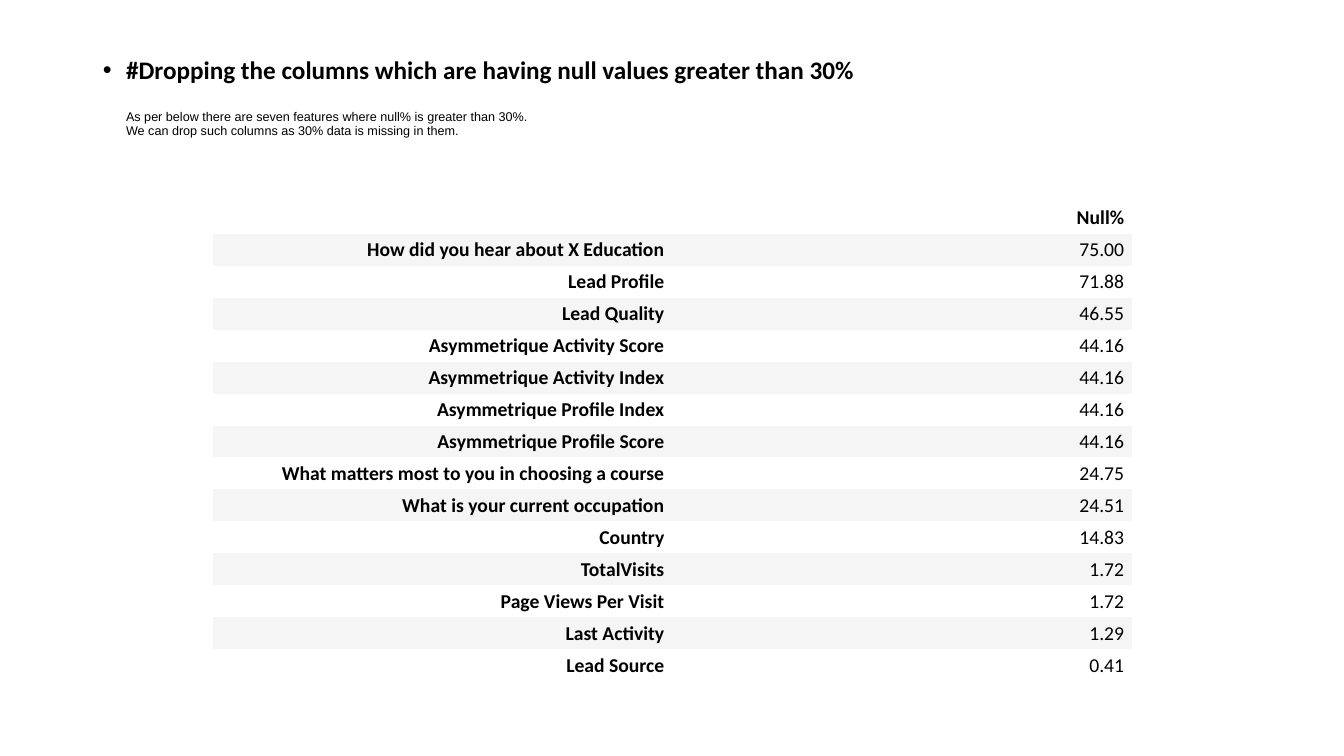
from lxml import etree
from pptx import Presentation
from pptx.dml.color import RGBColor
from pptx.enum.text import MSO_ANCHOR, PP_ALIGN
from pptx.oxml.ns import qn
from pptx.util import Inches, Pt

COLORS = {"text": "000000", "plain": "FFFFFF", "band": "F5F5F5"}
HEADING = "#Dropping the columns which are having null values greater than 30%"
EXPLANATION = (
    "As per below there are seven features where null% is greater than 30%.\v"
    "We can drop such columns as 30% data is missing in them."
)
NULL_ROWS = [
    ("", "Null%"),
    ("How did you hear about X Education", "75.00"),
    ("Lead Profile", "71.88"),
    ("Lead Quality", "46.55"),
    ("Asymmetrique Activity Score", "44.16"),
    ("Asymmetrique Activity Index", "44.16"),
    ("Asymmetrique Profile Index", "44.16"),
    ("Asymmetrique Profile Score", "44.16"),
    ("What matters most to you in choosing a course", "24.75"),
    ("What is your current occupation", "24.51"),
    ("Country", "14.83"),
    ("TotalVisits", "1.72"),
    ("Page Views Per Visit", "1.72"),
    ("Last Activity", "1.29"),
    ("Lead Source", "0.41"),
]


def set_font(paragraph, name, size, bold):
    paragraph.font.name = name
    paragraph.font.size = Pt(size)
    paragraph.font.bold = bold
    paragraph.font.color.rgb = RGBColor.from_string(COLORS["text"])


presentation = Presentation()
presentation.slide_width = Inches(13.33)
presentation.slide_height = Inches(7.5)
slide = presentation.slides.add_slide(presentation.slide_layouts[5])

# Title: bulleted heading with a short explanation under it
title = slide.shapes.title
title.left, title.top = Inches(0.92), Inches(0.4)
title.width, title.height = Inches(11.5), Inches(1.45)
title_frame = title.text_frame
title_frame.vertical_anchor = MSO_ANCHOR.MIDDLE
title_frame.margin_bottom = Inches(0.36)
heading = title_frame.paragraphs[0]
explanation = title_frame.add_paragraph()
for paragraph, text, font_name, size, bold in (
    (heading, HEADING, "Calibri", 18, True),
    (explanation, EXPLANATION, "Arial", 9, False),
):
    paragraph.text = text
    paragraph.alignment = PP_ALIGN.LEFT
    paragraph.line_spacing = 0.9
    set_font(paragraph, font_name, size, bold)
    paragraph._p.pPr.set("marL", str(Inches(0.23)))
explanation.space_before = Pt(19)
heading_properties = heading._p.pPr
heading_properties.set("indent", str(-Inches(0.23)))
bullet_font = etree.Element(qn("a:buFont"), typeface="Arial")
bullet = etree.Element(qn("a:buChar"), char="•")
default_font = heading_properties.find(qn("a:defRPr"))
default_font.addprevious(bullet_font)
default_font.addprevious(bullet)

# Table of null percentages, banded by row
table = slide.shapes.add_table(
    len(NULL_ROWS), 2, Inches(2.11), Inches(2), Inches(9.12), Inches(4.76)
).table
for row_index, values in enumerate(NULL_ROWS):
    for column_index, value in enumerate(values):
        cell = table.cell(row_index, column_index)
        cell.fill.solid()
        fill_name = "band" if row_index % 2 else "plain"
        cell.fill.fore_color.rgb = RGBColor.from_string(COLORS[fill_name])
        cell.vertical_anchor = MSO_ANCHOR.MIDDLE
        cell.margin_left = cell.margin_right = Inches(0.08)
        cell.margin_top = cell.margin_bottom = Inches(0.04)
        paragraph = cell.text_frame.paragraphs[0]
        paragraph.text = value
        paragraph.alignment = PP_ALIGN.RIGHT
        set_font(paragraph, "Calibri", 14, row_index == 0 or column_index == 0)
        if not value:
            etree.SubElement(paragraph._p, qn("a:endParaRPr"), sz="1400")

# The default style draws white rules between cells
style_id = table._tbl.tblPr.find(qn("a:tableStyleId"))
style_id.text = "{2D5ABB26-0587-4C30-8999-92F81FD0307C}"

presentation.save("out.pptx")
